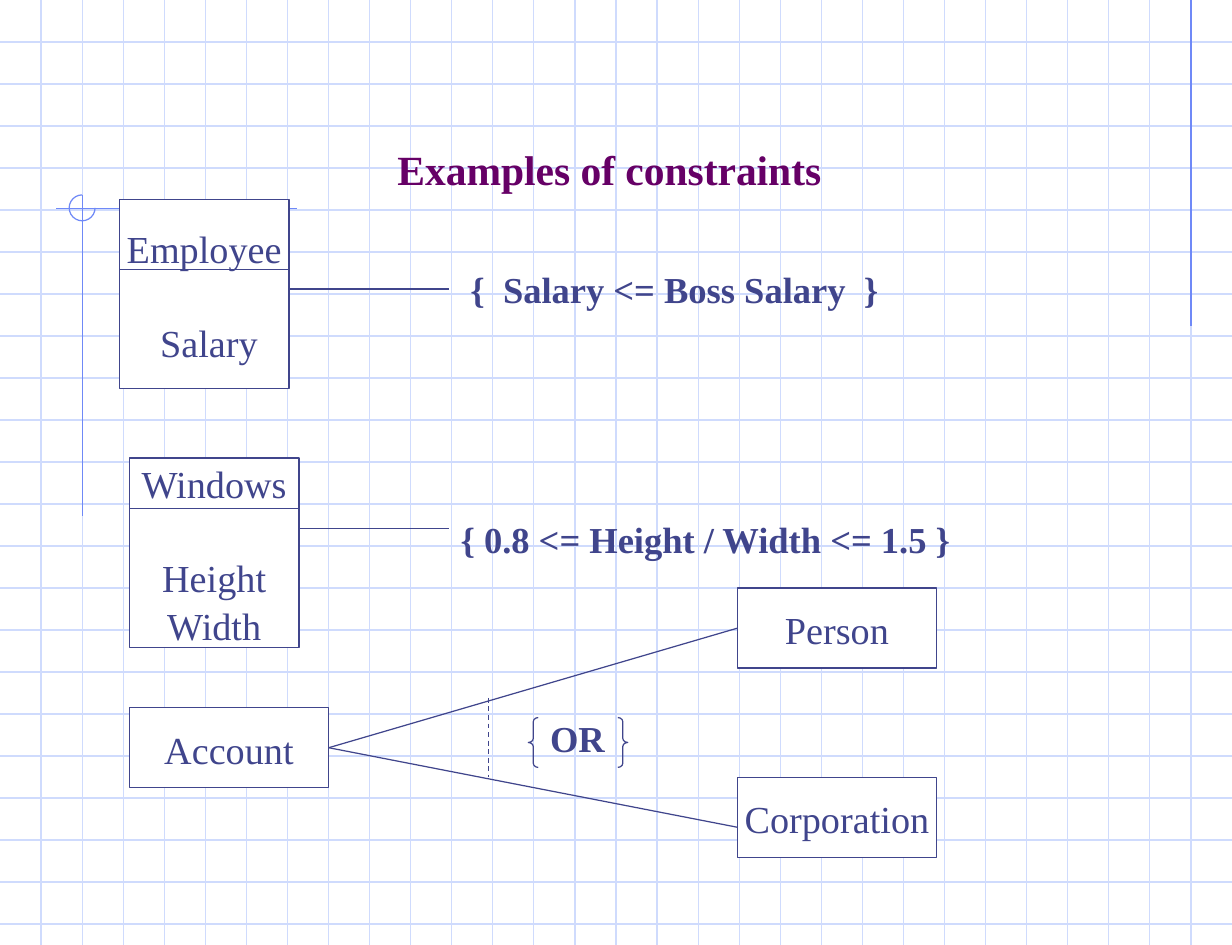
from dataclasses import dataclass

from pptx import Presentation, util as u
from pptx.dml.color import RGBColor
from pptx.enum import dml, shapes, text
from pptx.oxml.ns import qn
from lxml import etree

INK = RGBColor(0x40, 0x45, 0x8C)
PLUM = RGBColor(0x66, 0x00, 0x66)
GRID = RGBColor(0xCF, 0xDB, 0xFD)
MARK = RGBColor(0x6F, 0x89, 0xF7)
WHITE = RGBColor(0xFF, 0xFF, 0xFF)
FONT = "Times New Roman"
WIDTH, HEIGHT = 26.16, 20.07
COLUMN, ROW = WIDTH / 30, HEIGHT / 22.5


@dataclass
class Entity:
    """A box with a name, optionally divided from its attributes."""
    lines: list[str]
    left: float
    top: float
    width: float
    height: float
    divider: float | None = None
    constraint_y: float | None = None
    constraint_x: float = 9.53


@dataclass
class Label:
    wording: str
    left: float
    top: float
    width: float
    height: float = 1.19


EMPLOYEE = Entity(["Employee", " Salary"], 2.54, 4.23, 3.6, 4.02, 5.72, 6.14)
WINDOWS = Entity(["Windows", "Height", "Width"], 2.75, 9.73, 3.6, 4.02, 10.8, 11.22)
ACCOUNT = Entity(["Account"], 2.75, 15.03, 4.23, 1.7)
CORPORATION = Entity(["Corporation"], 15.66, 16.51, 4.23, 1.7)
PERSON = Entity(["Person"], 15.66, 12.49, 4.23, 1.7)

LABELS = [
    Label("OR", 11.43, 15.03, 2.12),
    Label("{  Salary <= Boss Salary  }", 9.74, 5.5, 9.95),
    Label("{ 0.8 <= Height / Width <= 1.5 }", 9.53, 10.8, 11),
]

prs = Presentation()
prs.slide_width, prs.slide_height = u.Cm(WIDTH), u.Cm(HEIGHT)
slide = prs.slides.add_slide(prs.slide_layouts[6])


def draw_line(x1: float, y1: float, x2: float, y2: float, color=INK, dashed=False):
    line = slide.shapes.add_connector(
        shapes.MSO_CONNECTOR.STRAIGHT, u.Cm(x1), u.Cm(y1), u.Cm(x2), u.Cm(y2))
    line.line.color.rgb = color
    line.line.width = u.Pt(0.75)
    if dashed:
        line.line.dash_style = dml.MSO_LINE.DASH
    etree.SubElement(line._element.spPr, qn("a:effectLst"))
    return line


def draw_shape(kind, left: float, top: float, width: float, height: float,
               color=INK, fill=None):
    shape = slide.shapes.add_shape(
        kind, u.Cm(left), u.Cm(top), u.Cm(width), u.Cm(height))
    shape.shadow.inherit = False
    if fill is None:
        shape.fill.background()
    else:
        shape.fill.solid()
        shape.fill.fore_color.rgb = fill
    shape.line.color.rgb = color
    shape.line.width = u.Pt(0.75)
    return shape


def write(shape, lines: list[str], *, size: float, color=INK, bold=False,
          align=text.PP_ALIGN.LEFT, anchor=text.MSO_ANCHOR.TOP,
          wrap=True, gap: float = 0, spacing: float = 1.05) -> None:
    """Write the lines, leaving a gap in points after the first one."""
    frame = shape.text_frame
    frame.word_wrap = wrap
    frame.vertical_anchor = anchor
    for index, wording in enumerate(lines):
        paragraph = frame.paragraphs[0] if index == 0 else frame.add_paragraph()
        paragraph.alignment = align
        paragraph.line_spacing = spacing
        if index == 1:
            paragraph.space_before = u.Pt(gap)
        run = paragraph.add_run()
        run.text = wording
        run.font.name, run.font.size = FONT, u.Pt(size)
        run.font.bold, run.font.color.rgb = bold, color


def draw_label(label: Label, **style) -> None:
    box = slide.shapes.add_textbox(
        u.Cm(label.left), u.Cm(label.top), u.Cm(label.width), u.Cm(label.height))
    write(box, [label.wording], bold=True, **style)


def draw_entity(entity: Entity):
    box = draw_shape(shapes.MSO_SHAPE.RECTANGLE, entity.left, entity.top,
                     entity.width, entity.height, fill=WHITE)
    write(box, entity.lines, size=23, align=text.PP_ALIGN.CENTER,
          anchor=text.MSO_ANCHOR.MIDDLE, wrap=False, gap=27.7)
    right = entity.left + entity.width
    if entity.divider is not None:
        draw_line(entity.left, entity.divider, right, entity.divider)
    if entity.constraint_y is not None:
        draw_line(right, entity.constraint_y, entity.constraint_x, entity.constraint_y)
    return box


# Graph paper
for row in range(1, 23):
    draw_line(0, row * ROW, WIDTH, row * ROW, GRID)
for column in range(1, 30):
    draw_line(column * COLUMN, 0, column * COLUMN, HEIGHT, GRID)

# Drafting marks
draw_line(29 * COLUMN, 0, 29 * COLUMN, 6.92, MARK)
draw_line(6.3, 4.42, 1.19, 4.42, MARK)
draw_line(2 * COLUMN, 4.14, 2 * COLUMN, 10.95, MARK)
mark_arc = draw_shape(shapes.MSO_SHAPE.ARC, 1.47, 4.14, 0.55, 0.55, MARK)
mark_arc.adjustments[0] = 0
mark_arc.adjustments[1] = 162  # 270 degrees

# Title
draw_label(Label("Examples of constraints", 1.75, 2.34, 22.38, 1.9), size=25,
           color=PLUM, align=text.PP_ALIGN.CENTER,
           anchor=text.MSO_ANCHOR.BOTTOM, spacing=1)

# Entities with their constraint lines
for constrained in (EMPLOYEE, WINDOWS):
    draw_entity(constrained)
account, corporation, person = map(draw_entity, (ACCOUNT, CORPORATION, PERSON))

# Account belongs to a person or a corporation
to_person = draw_line(6.98, 15.88, 15.66, 13.34)
to_person.begin_connect(account, 3)
to_person.end_connect(person, 1)
to_corporation = draw_line(6.98, 15.88, 15.66, 17.57)
to_corporation.begin_connect(account, 3)
draw_line(10.37, 14.82, 10.37, 16.51, dashed=True)

# Braces around OR
for brace_kind, brace_left in ((shapes.MSO_SHAPE.LEFT_BRACE, 11.22),
                               (shapes.MSO_SHAPE.RIGHT_BRACE, 13.12)):
    brace = draw_shape(brace_kind, brace_left, 15.24, 0.21, 1.06)
    brace.adjustments[0] = 0.42

# Constraint wording
for constraint in LABELS:
    draw_label(constraint, size=22)

prs.save("out.pptx")
